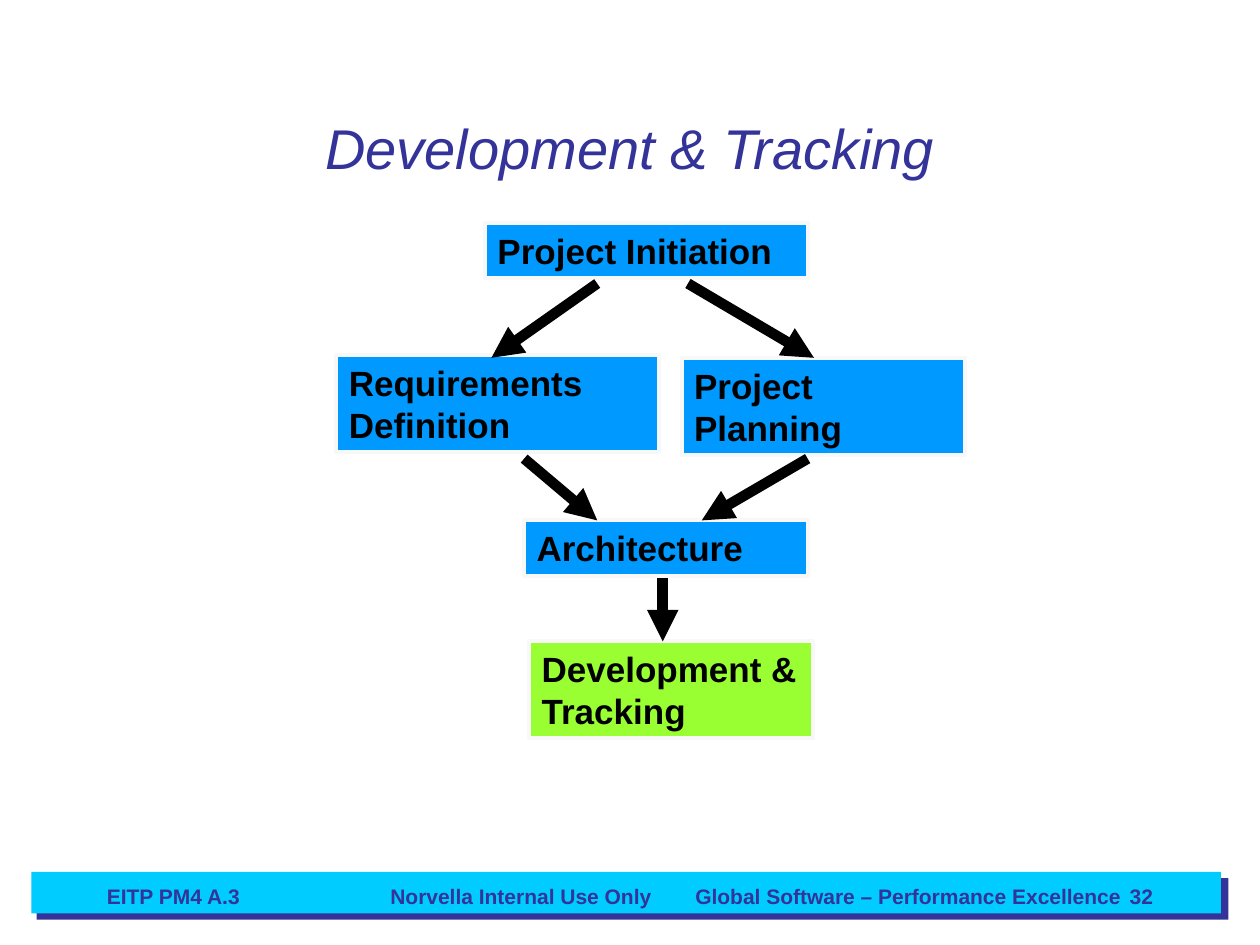
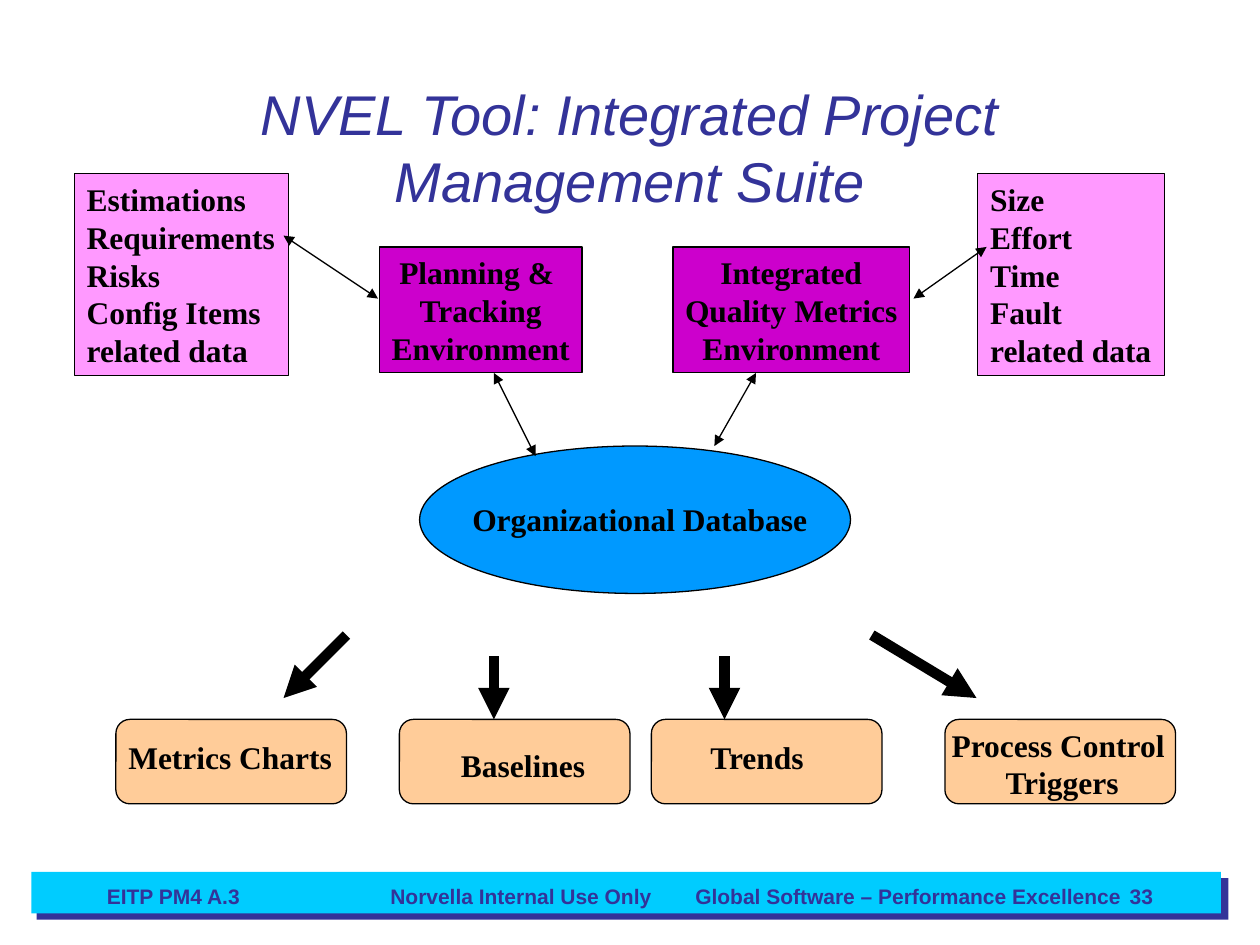
from dataclasses import dataclass

from lxml import etree
from pptx import Presentation
from pptx.dml.color import RGBColor
from pptx.enum.shapes import MSO_CONNECTOR, MSO_SHAPE
from pptx.enum.text import MSO_ANCHOR, MSO_AUTO_SIZE, PP_ALIGN
from pptx.oxml.ns import qn
from pptx.util import Inches, Pt

RECT, ROUND, OVAL = MSO_SHAPE.RECTANGLE, MSO_SHAPE.ROUNDED_RECTANGLE, MSO_SHAPE.OVAL
STRAIGHT = MSO_CONNECTOR.STRAIGHT
LEFT, CENTER, RIGHT = PP_ALIGN.LEFT, PP_ALIGN.CENTER, PP_ALIGN.RIGHT
TOP, MIDDLE = MSO_ANCHOR.TOP, MSO_ANCHOR.MIDDLE
FIXED = MSO_AUTO_SIZE.NONE
TITLE_ONLY = 5

COLORS = {
    "black": "000000",
    "navy": "333399",
    "cyan": "00CCFF",
    "blue": "0099FF",
    "green": "99FF33",
    "edge": "F8F8F8",
    "purple": "CC00CC",
    "pink": "FF99FF",
    "peach": "FFCC99",
}


@dataclass(frozen=True)
class Style:
    size: int
    face: str
    color: str = "black"
    bold: bool = True
    slant: bool = False


@dataclass(frozen=True)
class Box:
    left: float
    top: float
    width: float
    height: float
    fill: str = ""
    text: str = ""
    form: MSO_SHAPE = RECT
    align: PP_ALIGN = LEFT


@dataclass(frozen=True)
class Look:
    style: Style
    edge: str = ""
    weight: float = 0
    wrap: bool = True


@dataclass(frozen=True)
class Arrow:
    x1: float
    y1: float
    x2: float
    y2: float


TITLE = Style(32, "Arial", "navy", bold=False, slant=True)
FOOT = Look(Style(12, "Arial", "navy"))
STEP = Look(Style(20, "Arial"), "edge", 2.25)
NODE = Look(Style(18, "Times New Roman"), "black", 0.75, wrap=False)

FOOTER = (
    Box(0.29, 6.97, 9.46, 0.33, "navy"),
    Box(0.25, 6.92, 9.44, 0.33, "cyan"),
    Box(3, 6.96, 3.26, 0.3, text="Norvella Internal Use Only"),
    Box(5.42, 6.96, 3.64, 0.3, text="Global Software – Performance Excellence"),
    Box(0.75, 6.96, 2.08, 0.25, text="EITP PM4 A.3"),
)

STEPS = (
    Box(3.85, 1.77, 2.56, 0.44, "blue", "Project Initiation"),
    Box(2.67, 2.82, 2.56, 0.77, "blue", "Requirements Definition"),
    Box(5.41, 2.84, 2.25, 0.77, "blue", "Project Planning"),
    Box(4.16, 4.13, 2.25, 0.44, "blue", "Architecture"),
    Box(4.2, 5.09, 2.25, 0.77, "green", "Development & Tracking"),
)
FLOW = (
    Arrow(4.74, 2.25, 3.9, 2.84),
    Arrow(5.46, 2.25, 6.46, 2.84),
    Arrow(4.16, 3.64, 4.74, 4.13),
    Arrow(6.41, 3.64, 5.57, 4.13),
    Arrow(5.26, 4.59, 5.26, 5.09),
)

OUTPUTS = tuple(
    Box(left, 5.71, 1.83, 0.67, "peach", form=ROUND) for left in (0.92, 3.17, 5.17, 7.5)
)
SUITE = OUTPUTS + (
    Box(3.01, 1.96, 1.61, 1, "purple", "Planning & \nTracking\nEnvironment", align=CENTER),
    Box(5.34, 1.96, 1.88, 1, "purple", "Integrated\nQuality Metrics\nEnvironment", align=CENTER),
    Box(0.59, 1.38, 1.7, 1.6, "pink",
        "Estimations\nRequirements\nRisks\nConfig Items\nrelated data"),
    Box(7.76, 1.38, 1.48, 1.6, "pink", "Size\nEffort\nTime\nFault\nrelated data"),
    Box(3.33, 3.54, 3.42, 1.17, "blue", form=OVAL),
    Box(3.65, 3.92, 2.86, 0.4, text="Organizational Database"),
    Box(0.92, 5.81, 1.81, 0.4, text="Metrics Charts"),
    Box(3.56, 5.87, 1.18, 0.4, text="Baselines"),
    Box(5.54, 5.81, 0.96, 0.4, text="Trends"),
    Box(7.45, 5.71, 1.96, 0.7, text="Process Control \nTriggers", align=CENTER),
)
LINKS = (
    Arrow(2.25, 1.87, 3, 2.37),
    Arrow(7.25, 2.37, 7.83, 1.96),
    Arrow(4.25, 3.62, 3.92, 2.96),
    Arrow(5.67, 3.54, 6, 2.96),
)
DROPS = (
    Arrow(2.75, 5.04, 2.25, 5.54),
    Arrow(3.92, 5.21, 3.92, 5.71),
    Arrow(5.75, 5.21, 5.75, 5.71),
    Arrow(6.92, 5.04, 7.75, 5.54),
)


def rgb(name: str) -> RGBColor:
    return RGBColor.from_string(COLORS[name])


def write(frame, text: str, style: Style, align: PP_ALIGN, anchor: MSO_ANCHOR, wrap: bool) -> None:
    frame.text = text
    frame.auto_size = FIXED
    frame.word_wrap = wrap
    frame.vertical_anchor = anchor
    for para in frame.paragraphs:
        para.alignment = align
        font = para.font
        font.name, font.size = style.face, Pt(style.size)
        font.bold, font.italic = style.bold, style.slant
        font.color.rgb = rgb(style.color)


def draw_box(slide, box: Box, look: Look) -> None:
    place = [Inches(n) for n in (box.left, box.top, box.width, box.height)]
    if box.fill:
        shape = slide.shapes.add_shape(box.form, *place)
        shape.shadow.inherit = False
        shape.fill.solid()
        shape.fill.fore_color.rgb = rgb(box.fill)
        if look.edge:
            shape.line.color.rgb = rgb(look.edge)
            shape.line.width = Pt(look.weight)
        else:
            shape.line.fill.background()
    else:
        shape = slide.shapes.add_textbox(*place)
    if box.text:
        write(shape.text_frame, box.text, look.style, box.align, TOP, look.wrap)


def draw_arrow(slide, arrow: Arrow, weight: float, ends: tuple[str, ...]) -> None:
    points = [Inches(n) for n in (arrow.x1, arrow.y1, arrow.x2, arrow.y2)]
    link = slide.shapes.add_connector(STRAIGHT, *points)
    link.line.color.rgb = rgb("black")
    link.line.width = Pt(weight)
    props = link.element.spPr
    for end in ends:
        etree.SubElement(props.find(qn("a:ln")), qn(end), type="triangle")
    etree.SubElement(props, qn("a:effectLst"))


def start_slide(deck, title: str, number: int):
    slide = deck.slides.add_slide(deck.slide_layouts[TITLE_ONLY])
    head = slide.shapes.title
    head.left, head.top = Inches(0.75), Inches(0.83)
    head.width, head.height = Inches(8.5), Inches(0.67)
    write(head.text_frame, title, TITLE, CENTER, MIDDLE, True)
    page = Box(7.17, 6.96, 2.08, 0.25, text=str(number), align=RIGHT)
    for box in FOOTER + (page,):
        draw_box(slide, box, FOOT)
    return slide


def build_flow(deck) -> None:
    slide = start_slide(deck, "Development & Tracking", 32)
    for box in STEPS:
        draw_box(slide, box, STEP)
    for arrow in FLOW:
        draw_arrow(slide, arrow, 6, ("a:tailEnd",))


def build_suite(deck) -> None:
    slide = start_slide(deck, "NVEL Tool: Integrated Project Management Suite", 33)
    for box in SUITE:
        draw_box(slide, box, NODE)
    for arrow in LINKS:
        draw_arrow(slide, arrow, 0.75, ("a:headEnd", "a:tailEnd"))
    for arrow in DROPS:
        draw_arrow(slide, arrow, 6, ("a:tailEnd",))


def main() -> None:
    deck = Presentation()
    deck.slide_width, deck.slide_height = Inches(10), Inches(7.5)
    build_flow(deck)
    build_suite(deck)
    deck.save("out.pptx")


if __name__ == "__main__":
    main()
